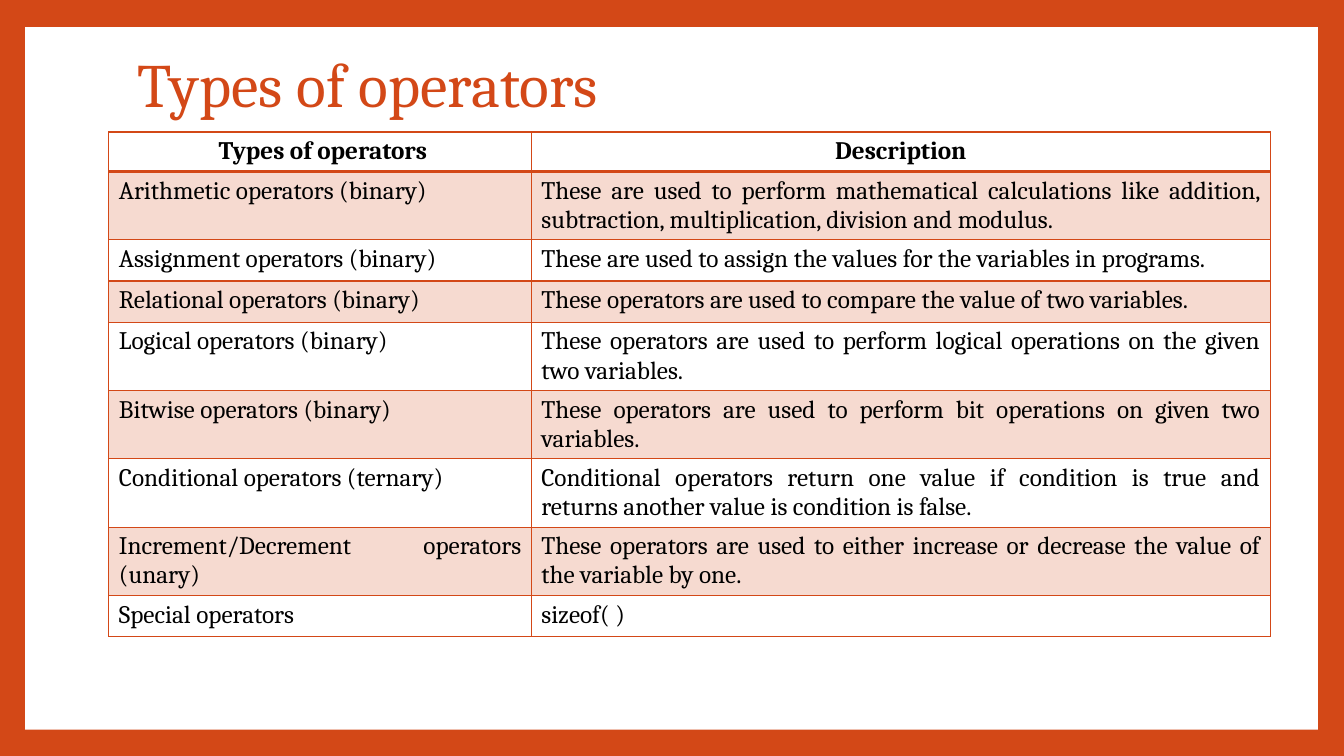
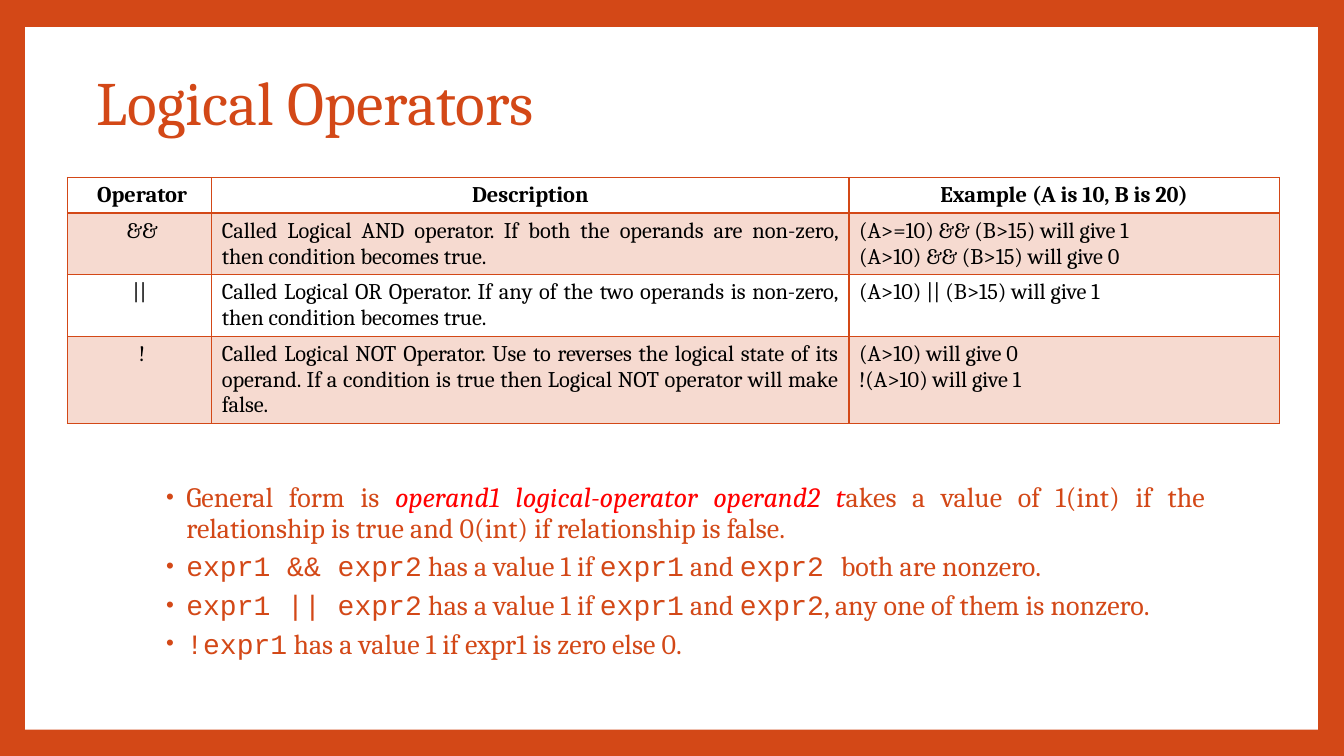
import pptx
import pptx.dml.color
import pptx.enum.shapes
import pptx.enum.text
import pptx.oxml
import pptx.oxml.ns
import pptx.util
from lxml import etree

Inches = pptx.util.Inches
Pt = pptx.util.Pt
RGBColor = pptx.dml.color.RGBColor
ALIGN = pptx.enum.text.PP_ALIGN
ANCHOR = pptx.enum.text.MSO_ANCHOR
qn = pptx.oxml.ns.qn

ORANGE = RGBColor(0xD3, 0x48, 0x17)
WHITE = RGBColor(0xFF, 0xFF, 0xFF)
BLACK = RGBColor(0, 0, 0)
RED = RGBColor(0xFF, 0, 0)
SERIF = "Cambria"
MONO = "Courier New"
BAND_ALPHA = 20000
TITLE_SIZE = 44
BULLET_SIZE = 20
PANEL_BOX = (0.25, 0.27, 12.82, 6.97)

OPERATOR_TYPES = [
    (" Types of operators", "Description"),
    ("Arithmetic operators (binary)",
     "These are used to perform mathematical calculations like addition, "
     "subtraction, multiplication, division and modulus."),
    ("Assignment operators (binary)",
     "These are used to assign the values for the variables in programs."),
    ("Relational operators (binary)",
     "These operators are used to compare the value of two variables."),
    ("Logical operators (binary)",
     "These operators are used to perform logical operations on the given two variables."),
    ("Bitwise operators (binary)",
     "These operators are used to perform bit operations on given two variables."),
    ("Conditional operators (ternary)",
     "Conditional operators return one value if condition is true and "
     "returns another value is condition is false."),
    ("Increment/Decrement operators (unary)",
     "These operators are used to either increase or decrease the value of the variable by one."),
    ("Special operators", "sizeof( )"),
]

LOGICAL_OPERATORS = [
    (" Operator", "Description", "Example (A is 10, B is 20)"),
    (" &&",
     "Called Logical AND operator. If both the operands are non-zero, "
     "then condition becomes true.",
     "(A>=10) && (B>15) will give 1\n(A>10) && (B>15) will give 0"),
    ("||",
     "Called Logical OR Operator. If any of the two operands is non-zero, "
     "then condition becomes true.",
     "(A>10) || (B>15) will give 1"),
    (" !",
     "Called Logical NOT Operator. Use to reverses the logical state of its operand. "
     "If a condition is true then Logical NOT operator will make false.",
     "(A>10) will give 0\n!(A>10) will give 1"),
]

CODE = {"font": MONO}
FORM = {"color": RED, "italic": True}
LOGICAL_NOTES = [
    [("General form is ", {}), ("operand1 logical-operator operand2 t", FORM),
     ("akes a value of 1(int) if the relationship is true and "
      "0(int) if relationship is false.", {})],
    [("expr1 && expr2", CODE), (" has a value 1 if ", {}), ("expr1", CODE),
     (" and ", {}), ("expr2 ", CODE), ("both are nonzero.", {})],
    [("expr1 || expr2", CODE), (" has a value 1 if ", {}), ("expr1", CODE),
     (" and ", {}), ("expr2", CODE), (", any one of them is nonzero.", {})],
    [("!expr1", CODE), (" has a value 1 if expr1 is zero else 0.", {})],
]

SLIDES = [
    {"title": "Types of operators", "title_box": (1.26, 0.43, 10.8, 0.88),
     "rows": OPERATOR_TYPES, "corner": (1.08, 1.31), "columns": (4.19, 7.33),
     "heights": (0.39, 0.67, 0.41, 0.41, 0.67, 0.67, 0.67, 0.67, 0.41),
     "size": 18, "first_column": ALIGN.JUSTIFY},
    {"title": "Logical Operators", "title_box": (0.86, 0.31, 10.8, 1.48),
     "rows": LOGICAL_OPERATORS, "corner": (0.67, 1.76), "columns": (1.43, 6.32, 4.27),
     "heights": (0.35, 0.61, 0.61, 0.86),
     "size": 16, "first_column": ALIGN.CENTER,
     "notes": LOGICAL_NOTES, "notes_box": (1.25, 4.75, 10.8, 2.1)},
]


def write(frame, text, size, color=BLACK, align=ALIGN.JUSTIFY, bold=False,
          spacing=1.0, before=0, after=0, bullet=False):
    paragraphs = text if isinstance(text, list) else [[(line, {})] for line in text.split("\n")]
    frame.word_wrap = True
    for index, runs in enumerate(paragraphs):
        paragraph = frame.paragraphs[0] if index == 0 else frame.add_paragraph()
        paragraph.alignment = align
        paragraph.line_spacing = spacing
        paragraph.space_before = Pt(before if index else 0)
        paragraph.space_after = Pt(after)
        if bullet:
            add_bullet(paragraph)
        for content, style in runs:
            run = paragraph.add_run()
            run.text = content
            run.font.name = style.get("font", SERIF)
            run.font.size = Pt(size)
            run.font.bold = bold
            run.font.italic = style.get("italic", False)
            run.font.color.rgb = style.get("color", color)


def add_bullet(paragraph):
    properties = paragraph._p.get_or_add_pPr()
    properties.set("marL", str(Inches(0.5)))
    properties.set("indent", str(Inches(-0.2)))
    color = etree.SubElement(properties, qn("a:buClr"))
    etree.SubElement(color, qn("a:srgbClr"), val=str(ORANGE))
    etree.SubElement(properties, qn("a:buSzPct"), val="80000")
    etree.SubElement(properties, qn("a:buFont"), typeface="Arial")
    etree.SubElement(properties, qn("a:buChar"), char="•")


def add_borders(cell, widths):
    properties = cell._tc.get_or_add_tcPr()
    for side, width in zip("LRTB", widths):
        line = etree.SubElement(properties, qn(f"a:ln{side}"), w=str(Pt(width)))
        fill = etree.SubElement(line, qn("a:solidFill"))
        etree.SubElement(fill, qn("a:srgbClr"), val=str(ORANGE))


def fill_cell(cell, banded):
    if not banded:
        cell.fill.background()
        return
    cell.fill.solid()
    cell.fill.fore_color.rgb = ORANGE
    color = cell._tc.tcPr.find(qn("a:solidFill")).find(qn("a:srgbClr"))
    etree.SubElement(color, qn("a:alpha"), val=str(BAND_ALPHA))


def add_operator_table(slide, content):
    rows, columns, heights = content["rows"], content["columns"], content["heights"]
    box = (*content["corner"], sum(columns), sum(heights))
    table = slide.shapes.add_table(len(rows), len(columns), *map(Inches, box)).table
    table.first_row = table.horz_banding = False
    for column, width in zip(table.columns, columns):
        column.width = Inches(width)
    for row_index, (row, height) in enumerate(zip(rows, heights)):
        table.rows[row_index].height = Inches(height)
        header = row_index == 0
        for column_index, text in enumerate(row):
            cell = table.cell(row_index, column_index)
            add_borders(cell, (1, 1, 2 if row_index == 1 else 1, 2 if header else 1))
            fill_cell(cell, banded=row_index % 2 == 1)
            align = content["first_column"] if column_index == 0 else ALIGN.JUSTIFY
            write(cell.text_frame, text, content["size"], bold=header,
                  align=ALIGN.CENTER if header else align)


def set_title(slide, text, box):
    title = slide.shapes.title
    title.left, title.top, title.width, title.height = map(Inches, box)
    title.text_frame.auto_size = pptx.enum.text.MSO_AUTO_SIZE.NONE
    title.text_frame.vertical_anchor = ANCHOR.MIDDLE
    write(title.text_frame, text, TITLE_SIZE, color=ORANGE, align=ALIGN.LEFT, spacing=0.9)


def add_panel(slide):
    panel = slide.shapes.add_shape(pptx.enum.shapes.MSO_SHAPE.RECTANGLE,
                                   *map(Inches, PANEL_BOX))
    panel.shadow.inherit = False
    panel.fill.solid()
    panel.fill.fore_color.rgb = WHITE
    panel.line.fill.background()
    slide.shapes.element.insert(2, panel.element)


def main():
    presentation = pptx.Presentation()
    presentation.slide_width = Inches(13.33)
    presentation.slide_height = Inches(7.5)
    background = presentation.slide_master.background.fill
    background.solid()
    background.fore_color.rgb = ORANGE
    for content in SLIDES:
        slide = presentation.slides.add_slide(presentation.slide_layouts[5])
        add_panel(slide)
        set_title(slide, content["title"], content["title_box"])
        add_operator_table(slide, content)
        if "notes" in content:
            notes = slide.shapes.add_textbox(*map(Inches, content["notes_box"]))
            write(notes.text_frame, content["notes"], BULLET_SIZE, color=ORANGE,
                  spacing=0.9, before=2, after=4, bullet=True)
    presentation.save("out.pptx")


if __name__ == "__main__":
    main()
